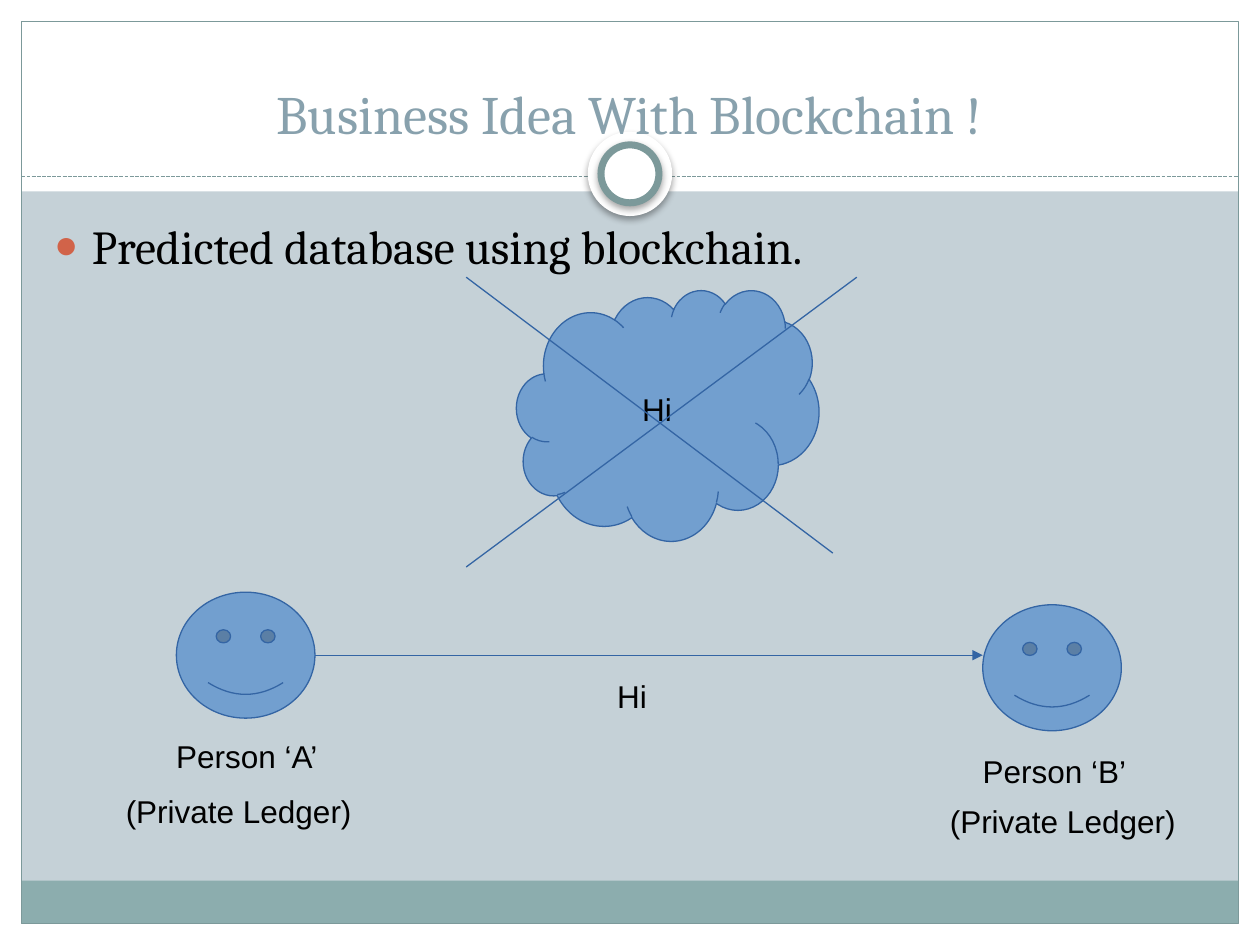
from dataclasses import dataclass

from lxml.etree import SubElement
from pptx import Presentation
from pptx.dml.color import RGBColor
from pptx.enum.dml import MSO_LINE
from pptx.enum.shapes import MSO_CONNECTOR, MSO_SHAPE
from pptx.enum.text import MSO_ANCHOR, MSO_AUTO_SIZE, PP_ALIGN
from pptx.oxml import parse_xml
from pptx.oxml.ns import nsdecls, qn
from pptx.util import Inches, Pt


@dataclass(frozen=True)
class Theme:
    white: str = "FFFFFF"
    black: str = "000000"
    background: str = "C5D1D7"
    frame: str = "7C999A"
    footer: str = "8CADAE"
    title: str = "88A1AD"
    bullet: str = "D16349"
    shape: str = "729FCF"
    outline: str = "3465A4"
    heading_font: str = "Cambria"
    label_font: str = "Arial"
    title_size: float = 30.9
    body_size: float = 27
    label_size: float = 18
    thin: float = 0.75


theme = Theme()
rgb = RGBColor.from_string

prs = Presentation()
prs.slide_width, prs.slide_height = Inches(10), Inches(7.5)
s = prs.slides.add_slide(prs.slide_layouts[1])
s.background.fill.solid()
s.background.fill.fore_color.rgb = rgb(theme.background)


def add_box(kind, box, fill=None, line=None, width=theme.thin):
    """Add a preset shape without shadow; None means no fill or no line."""
    sp = s.shapes.add_shape(kind, *map(Inches, box))
    sp.shadow.inherit = False
    if fill:
        sp.fill.solid()
        sp.fill.fore_color.rgb = rgb(fill)
    else:
        sp.fill.background()
    if line:
        sp.line.color.rgb = rgb(line)
        sp.line.width = Pt(width)
    else:
        sp.line.fill.background()
    return sp


def add_run(p, text, size, color, font):
    """Add one formatted run to a paragraph."""
    r = p.add_run()
    r.text = text
    r.font.size = Pt(size)
    r.font.name = font
    r.font.color.rgb = rgb(color)


# Slide frame
margin = 0.17
for box, fill in [
    ((0, 7.33, 10, margin), theme.white),
    ((0, 0, 10, 1.52), theme.white),
    ((0, 0, margin, 7.5), theme.white),
    ((10 - margin, 0, margin, 7.5), theme.white),
    ((margin, 6.99, 9.66, 0.34), theme.footer),
]:
    add_box(MSO_SHAPE.RECTANGLE, box, fill)
add_box(MSO_SHAPE.RECTANGLE, (margin, margin, 9.66, 7.16), line=theme.frame)

# Lines: the divider goes below the ring, the others above the cloud
divider = ((margin, 1.4), (10 - margin, 1.4))
message_arrow = ((2.5, 5.2), (7.8, 5.2))
cross = [((6.8, 2.2), (3.7, 4.5)), ((3.7, 2.2), (6.61, 4.39))]
lines = []
for (start, end), color in [(divider, theme.frame)] + [
    (ends, theme.outline) for ends in [message_arrow, *cross]
]:
    line = s.shapes.add_connector(MSO_CONNECTOR.STRAIGHT, *map(Inches, start + end))
    line.line.color.rgb = rgb(color)
    line.line.width = Pt(theme.thin)
    SubElement(line.element.spPr, qn("a:effectLst"))
    lines.append(line)
lines[0].line.dash_style = MSO_LINE.SQUARE_DOT
arrow_ln = lines[1].element.spPr.find(qn("a:ln"))
SubElement(arrow_ln, qn("a:tailEnd"), type="triangle")

# Ring on the divider
for diameter, ring_line in [(0.67, None), (0.46, theme.frame)]:
    box = (5 - diameter / 2, 1.38 - diameter / 2, diameter, diameter)
    ring = add_box(MSO_SHAPE.OVAL, box, theme.white, ring_line, 4)
    ring.element.spPr.find(qn("a:effectLst")).append(parse_xml(
        f'<a:outerShdw {nsdecls("a")} blurRad="{Pt(4)}" dist="{Pt(2)}" dir="5400000">'
        f'<a:srgbClr val="{theme.black}"><a:alpha val="35000"/></a:srgbClr>'
        '</a:outerShdw>'))

# Title and bullet list
title, body = s.shapes.title, s.placeholders[1]
for sp, box, anchor in [
    (title, (0.33, 0.38, 9.33, 0.83), MSO_ANCHOR.BOTTOM),
    (body, (0.33, 1.67, 9.3, 5.31), MSO_ANCHOR.TOP),
]:
    sp.left, sp.top, sp.width, sp.height = map(Inches, box)
    sp.text_frame.auto_size = MSO_AUTO_SIZE.NONE
    sp.text_frame.vertical_anchor = anchor
    s.shapes.element.append(sp.element)

p = title.text_frame.paragraphs[0]
p.alignment = PP_ALIGN.CENTER
p.line_spacing = 0.9
add_run(p, "Business Idea With Blockchain !", theme.title_size, theme.title,
        theme.heading_font)

p = body.text_frame.paragraphs[0]
p.space_before = Pt(5.4)
add_run(p, "Predicted database using blockchain.", theme.body_size, theme.black,
        theme.heading_font)
pPr = p._p.get_or_add_pPr()
pPr.set("marL", str(Inches(0.3)))
pPr.set("indent", str(-Inches(0.3)))
SubElement(SubElement(pPr, qn("a:buClr")), qn("a:srgbClr"), val=theme.bullet)
SubElement(pPr, qn("a:buSzPct"), val="85000")
SubElement(pPr, qn("a:buFont"), typeface=theme.label_font)
SubElement(pPr, qn("a:buChar"), char="●")

# People and the crossed-out cloud
for left, top in [(1.4, 4.7), (7.8, 4.8)]:
    add_box(MSO_SHAPE.SMILEY_FACE, (left, top, 1.1, 1), theme.shape, theme.outline)
cloud = add_box(MSO_SHAPE.CLOUD, (4.1, 2.3, 2.4, 1.99), theme.shape, theme.outline)
tf = cloud.text_frame
tf.word_wrap = False
tf.vertical_anchor = MSO_ANCHOR.MIDDLE
p = tf.paragraphs[0]
p.alignment = PP_ALIGN.CENTER
add_run(p, "Hi", theme.label_size, theme.black, theme.label_font)
for line in lines[1:]:
    s.shapes.element.append(line.element)

# Labels
for text, box in [
    ("Hi", (4.8, 5.32, 0.5, 0.38)),
    ("Person ‘A’", (1.3, 5.8, 1.4, 0.38)),
    ("Person ‘B’", (7.7, 5.92, 1.4, 0.38)),
    ("(Private Ledger)", (0.9, 6.24, 2.4, 0.66)),
    ("(Private Ledger)", (7.44, 6.32, 2.26, 0.66)),
]:
    tf = s.shapes.add_textbox(*map(Inches, box)).text_frame
    tf.word_wrap = True
    add_run(tf.paragraphs[0], text, theme.label_size, theme.black, theme.label_font)

prs.save("out.pptx")
